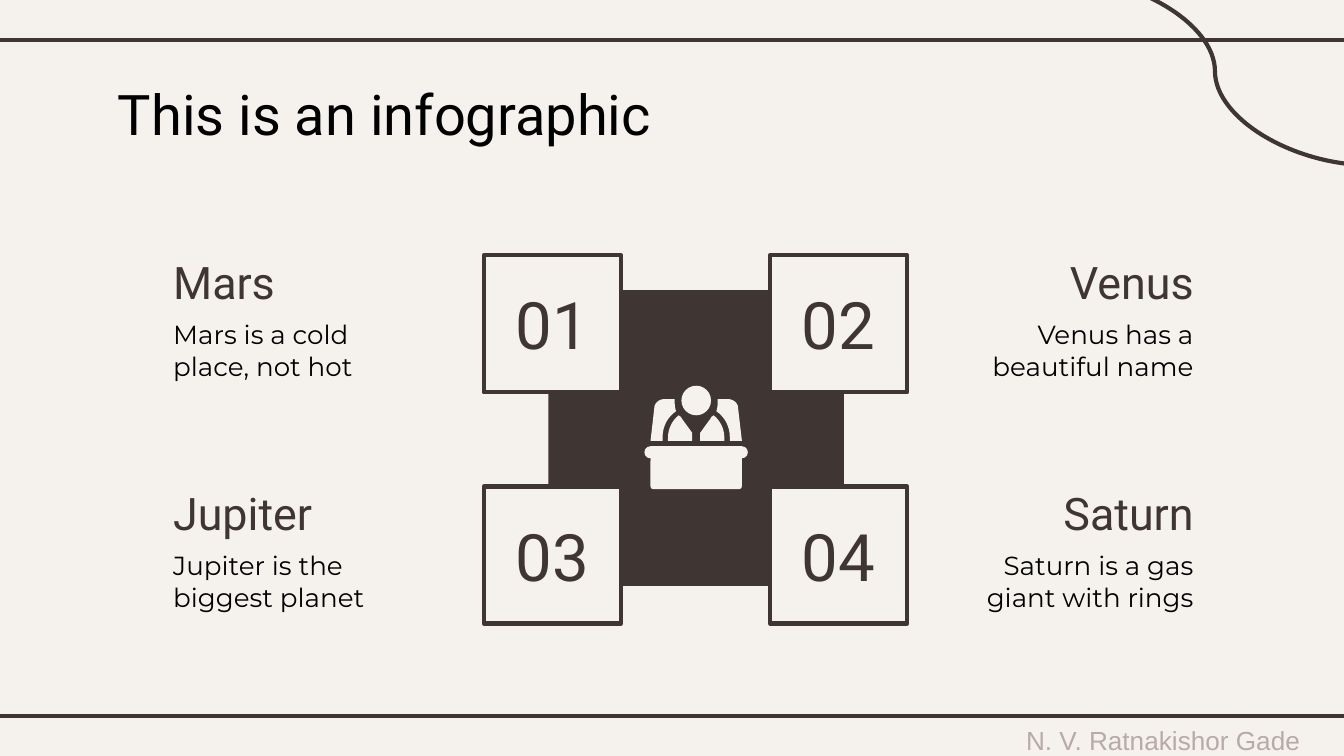
from lxml import etree
from pptx import Presentation
from pptx.dml.color import RGBColor
from pptx.enum.shapes import MSO_CONNECTOR, MSO_SHAPE
from pptx.enum.text import MSO_ANCHOR, PP_ALIGN
from pptx.oxml.ns import qn
from pptx.util import Inches, Pt

LEFT, CENTER, RIGHT = PP_ALIGN.LEFT, PP_ALIGN.CENTER, PP_ALIGN.RIGHT
TOP, MIDDLE = MSO_ANCHOR.TOP, MSO_ANCHOR.MIDDLE
STRAIGHT, CURVE = MSO_CONNECTOR.STRAIGHT, MSO_CONNECTOR.CURVE
RECTANGLE, ROUNDED, OVAL = MSO_SHAPE.RECTANGLE, MSO_SHAPE.ROUNDED_RECTANGLE, MSO_SHAPE.OVAL

CREAM, BROWN, BLACK, FAINT = "F5F2EE", "3F3533", "000000", "B8AAA7"

SLIDE_WIDTH = 10
SLIDE_HEIGHT = SLIDE_WIDTH * 9 / 16

TITLE = "This is an infographic"
FOOTER = "N. V. Ratnakishor Gade"
PLANETS = [
    ("01", "Mars", "Mars is a cold place, not hot"),
    ("02", "Venus", "Venus has a beautiful name"),
    ("03", "Jupiter", "Jupiter is the biggest planet"),
    ("04", "Saturn", "Saturn is a gas giant with rings"),
]

ROW_TOPS = (1.9, 3.62)
TILE_LEFTS = (3.6, 5.73)
TILE = 1.02
NUMBER_WIDTH, NUMBER_HEIGHT = 1.11, 0.73
TEXT_LEFT, TEXT_RIGHT = 1.19, 8.98
HEADING_WIDTH, DETAIL_WIDTH = 2, 1.82

# Left half of the person at the desk: two-number steps are straight, six-number steps are Bézier curves.
ICON_AXIS = 5.18
CHAIR = [(4.94, 2.97), (4.91, 2.97, 4.88, 2.99, 4.87, 3.02), (4.84, 3.28), (4.93, 3.28), (4.93, 3.25),
         (4.93, 3.17, 4.97, 3.1, 5.03, 3.06), (5.02, 3.03, 5.02, 3.01, 5.02, 2.97)]
ARM = [(5.05, 3.09), (5, 3.13, 4.97, 3.19, 4.97, 3.26), (4.97, 3.28), (5.15, 3.28), (5.15, 3.22),
       (5.07, 3.11), (5.07, 3.1, 5.06, 3.1, 5.05, 3.09)]
CURVE_STEPS = 8


def color(hex_value):
    return RGBColor.from_string(hex_value)


def paint(shape, fill, line=None):
    shape.shadow.inherit = False
    shape.fill.solid()
    shape.fill.fore_color.rgb = color(fill)
    if line:
        shape.line.color.rgb = color(line)
        shape.line.width = Pt(2.25)
    else:
        shape.line.fill.background()


def add_block(slide, kind, left, top, width, height, fill, line=None):
    block = slide.shapes.add_shape(kind, Inches(left), Inches(top), Inches(width), Inches(height))
    paint(block, fill, line)
    return block


def add_text(slide, text, left, top, width, height, size, font, ink, align=LEFT, anchor=TOP):
    box = slide.shapes.add_textbox(Inches(left), Inches(top), Inches(width), Inches(height))
    frame = box.text_frame
    frame.word_wrap = True
    frame.vertical_anchor = anchor
    frame.margin_left = frame.margin_right = frame.margin_top = frame.margin_bottom = Inches(0.1)
    paragraph = frame.paragraphs[0]
    paragraph.text = text
    paragraph.alignment = align
    paragraph.font.size = Pt(size)
    paragraph.font.name = font
    paragraph.font.color.rgb = color(ink)


def add_rule(slide, kind, x1, y1, x2, y2):
    rule = slide.shapes.add_connector(kind, Inches(x1), Inches(y1), Inches(x2), Inches(y2))
    rule.line.color.rgb = color(BROWN)
    rule.line.width = Pt(2.25)
    etree.SubElement(rule._element.spPr, qn("a:effectLst"))


def trace(steps):
    """Return the outline's points, with its curves cut into short straight pieces."""
    points = [steps[0]]
    for step in steps[1:]:
        if len(step) == 2:
            points.append(step)
            continue
        start, first, second, end = points[-1], step[:2], step[2:4], step[4:]
        for i in range(1, CURVE_STEPS + 1):
            t = i / CURVE_STEPS
            u = 1 - t
            points.append(tuple(u**3 * a + 3 * u * u * t * b + 3 * u * t * t * c + t**3 * d
                                for a, b, c, d in zip(start, first, second, end)))
    return points


def add_outline(slide, points):
    corners = [(Inches(x), Inches(y)) for x, y in points]
    builder = slide.shapes.build_freeform(*corners[0], scale=1)
    builder.add_line_segments(corners[1:], close=True)
    paint(builder.convert_to_shape(), CREAM)


def add_icon(slide):
    add_block(slide, OVAL, ICON_AXIS - 0.11, 2.87, 0.22, 0.22, CREAM)
    for width, height, rounding in ((0.77, 0.09, 0.5), (0.68, 0.32, 0.07)):
        desk = add_block(slide, ROUNDED, ICON_AXIS - width / 2, 3.32, width, height, CREAM)
        desk.adjustments[0] = rounding
    for steps in (CHAIR, ARM):
        half = trace(steps)
        add_outline(slide, half)
        add_outline(slide, [(2 * ICON_AXIS - x, y) for x, y in half])


def add_planet(slide, index, number, name, detail):
    row, column = divmod(index, 2)
    top, tile_left = ROW_TOPS[row], TILE_LEFTS[column]
    add_block(slide, RECTANGLE, tile_left, top, TILE, TILE, CREAM, BROWN)
    add_text(slide, number, tile_left + (TILE - NUMBER_WIDTH) / 2, top + (TILE - NUMBER_HEIGHT) / 2,
             NUMBER_WIDTH, NUMBER_HEIGHT, 35, "Roboto", BROWN, CENTER, MIDDLE)

    align = RIGHT if column else LEFT
    heading_left = TEXT_RIGHT - HEADING_WIDTH if column else TEXT_LEFT
    detail_left = TEXT_RIGHT - DETAIL_WIDTH if column else TEXT_LEFT
    add_text(slide, name, heading_left, top, HEADING_WIDTH, 0.39, 24, "Roboto", BROWN, align, MIDDLE)
    add_text(slide, detail, detail_left, top + 0.37, DETAIL_WIDTH, 0.78, 14, "Montserrat", BLACK, align)


def main():
    deck = Presentation()
    deck.slide_width, deck.slide_height = Inches(SLIDE_WIDTH), Inches(SLIDE_HEIGHT)
    slide = deck.slides.add_slide(deck.slide_layouts[6])
    slide.background.fill.solid()
    slide.background.fill.fore_color.rgb = color(CREAM)

    add_text(slide, FOOTER, 7.31, 5.41, 2.69, 0.19, 14, "Arial", FAINT, CENTER, MIDDLE)
    for y in (0.3, 5.33):
        add_rule(slide, STRAIGHT, -0.08, y, 10.08, y)
    add_rule(slide, CURVE, 7.88, -0.17, 10.2, 1.23)
    add_text(slide, TITLE, 0.78, 0.49, 8.44, 0.63, 30, "Roboto", BLACK)

    add_block(slide, RECTANGLE, 4.08, 2.16, 2.2, 2.2, BROWN)
    add_icon(slide)
    for index, planet in enumerate(PLANETS):
        add_planet(slide, index, *planet)

    deck.save("out.pptx")


if __name__ == "__main__":
    main()
